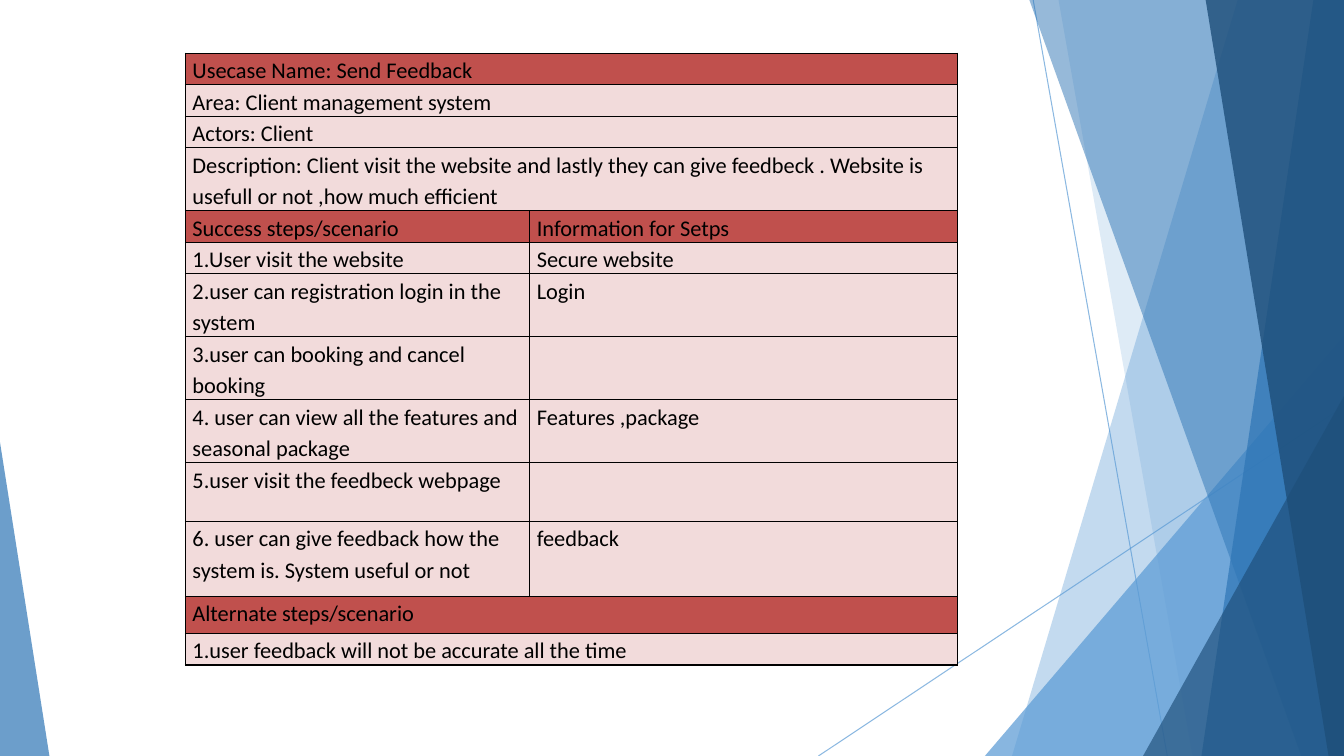
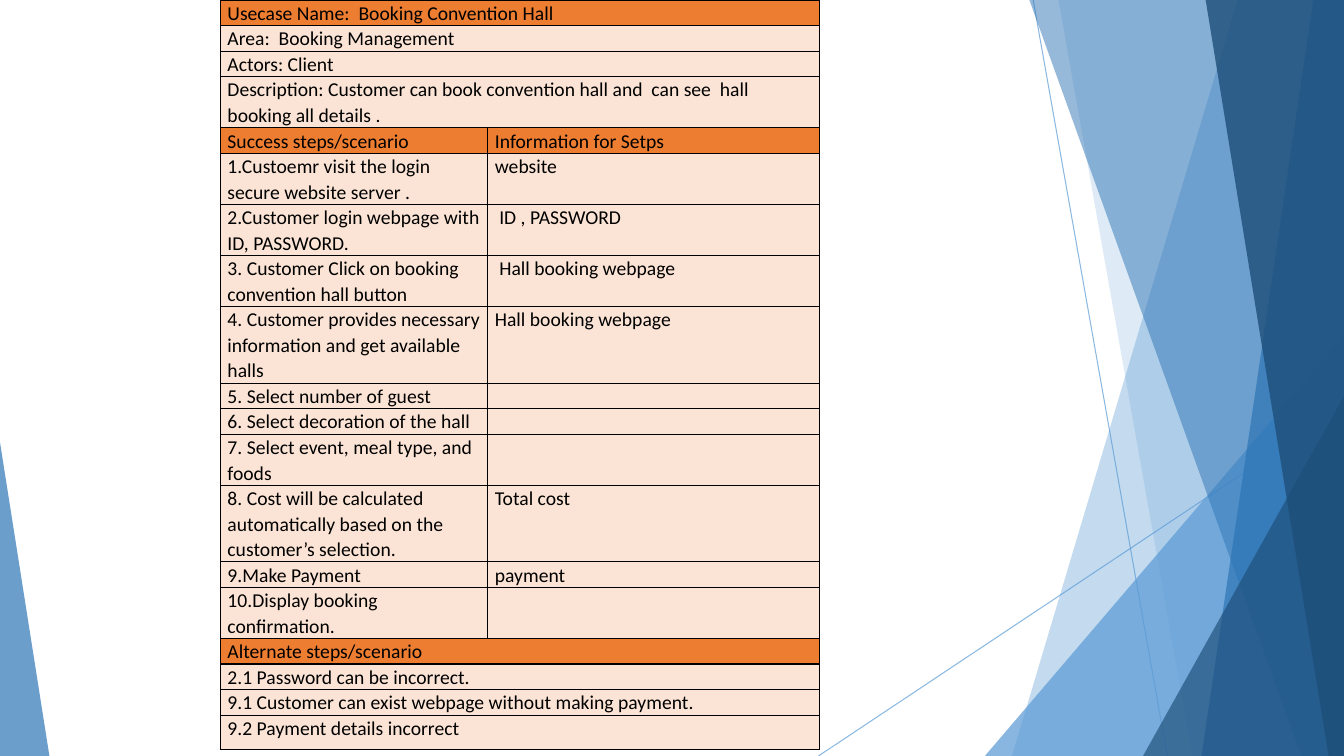
from lxml import etree
from pptx import Presentation
from pptx import util as u
from pptx.dml.color import RGBColor
from pptx.enum import shapes
from pptx.oxml.ns import qn

Pt = u.Pt
WIDTH, HEIGHT = 960, 540
FONT = "Calibri"
COLORS = {
    "light": "5B9BD5", "mid": "2E75B5", "dark": "1E4E79", "black": "000000",
    "red": "C0504D", "pale_red": "F2DBDB",
    "orange": "ED7D31", "pale_orange": "FBE4D5",
}
HEADINGS = ("Usecase Name", "Success steps", "Alternate steps")

# Each row: minimum height, then one text (full width) or two (split).
FEEDBACK_ROWS = [
    (21, "Usecase Name: Send Feedback"),
    (21, "Area: Client management system"),
    (21, "Actors: Client"),
    (42, "Description: Client visit the website and lastly they can give feedbeck . "
         "Website is usefull or not ,how much efficient"),
    (21, "Success steps/scenario", "Information for Setps"),
    (21, "1.User visit the website", "Secure website"),
    (42, "2.user can registration login in the system", "Login"),
    (42, "3.user can booking and cancel booking", ""),
    (42, "4. user can view all the features and seasonal package", "Features ,package"),
    (42, "5.user visit the feedbeck webpage", ""),
    (53.5, "6. user can give feedback how the system is. System useful or not", "feedback"),
    (26.5, "Alternate steps/scenario"),
    (21, "1.user feedback will not be accurate all the time"),
]
BOOKING_ROWS = [
    (18, "Usecase Name:  Booking Convention Hall"),
    (18, "Area:  Booking Management"),
    (18, "Actors: Client"),
    (36, "Description: Customer can book convention hall and  can see  hall "
         "booking all details ."),
    (18, "Success steps/scenario", "Information for Setps"),
    (36, "1.Custoemr visit the login  secure website server .", "website"),
    (36, "2.Customer login webpage with ID, PASSWORD.", " ID , PASSWORD"),
    (36, "3. Customer Click on booking convention hall button", " Hall booking webpage"),
    (54, "4. Customer provides necessary information and get available halls",
     "Hall booking webpage"),
    (18, "5. Select number of guest", ""),
    (18, "6. Select decoration of the hall", ""),
    (36, "7. Select event, meal type, and foods", ""),
    (54, "8. Cost will be calculated automatically based on the customer’s selection.",
     "Total cost"),
    (18, "9.Make Payment", "payment"),
    (36, "10.Display booking confirmation.", ""),
    (18, "Alternate steps/scenario"),
    (18, "2.1 Password can be incorrect."),
    (18, "9.1 Customer can exist webpage without making payment."),
    (24.5, "9.2 Payment details incorrect"),
]


def rgb(name):
    return RGBColor.from_string(COLORS[name])


def set_opacity(sp, percent):
    color = sp.element.spPr.find(".//" + qn("a:srgbClr"))
    etree.SubElement(color, qn("a:alpha"), val=str(percent * 1000))


def style_facet(sp, color, opacity):
    sp.shadow.inherit = False
    sp.fill.solid()
    sp.fill.fore_color.rgb = rgb(color)
    sp.line.fill.background()
    set_opacity(sp, opacity)


def add_panel(s, top_x, bottom_x, color, opacity):
    """Fill from a slanted left edge to the right side of the slide."""
    builder = s.shapes.build_freeform(Pt(top_x), Pt(-0.5))
    corners = [(WIDTH, -0.5), (WIDTH, HEIGHT), (bottom_x, HEIGHT)]
    builder.add_line_segments([(Pt(x), Pt(y)) for x, y in corners], close=True)
    style_facet(builder.convert_to_shape(), color, opacity)


def add_triangle(s, x, y, width, apex, color, opacity):
    """Stand a triangle on the bottom edge; apex is 0 (left) to 1 (right)."""
    sp = s.shapes.add_shape(shapes.MSO_SHAPE.ISOSCELES_TRIANGLE,
                            Pt(x), Pt(y), Pt(width), Pt(HEIGHT - y))
    sp.adjustments[0] = apex
    style_facet(sp, color, opacity)


def add_thin_line(s, *ends):
    line = s.shapes.add_connector(shapes.MSO_CONNECTOR.STRAIGHT, *map(Pt, ends))
    line.line.color.rgb = rgb("light")
    line.line.width = Pt(0.75)
    set_opacity(line, 70)
    etree.SubElement(line.element.spPr, qn("a:effectLst"))


def add_facets(s):
    add_thin_line(s, 738, 0, 833.8, HEIGHT)
    add_thin_line(s, WIDTH, 290.2, 584.6, HEIGHT)
    add_panel(s, 884.2, 722.9, "light", 36)
    add_panel(s, 756, 851.8, "light", 20)
    add_triangle(s, 703.5, 239.8, 256.5, 1, "light", 72)
    add_panel(s, 735.1, 929.5, "mid", 50)
    add_panel(s, 938.2, 858.2, "mid", 70)
    add_panel(s, 861.1, 949, "dark", 80)
    add_triangle(s, 816.5, 283, 143.5, 1, "dark", 66)
    add_triangle(s, 0, 316, 35.3, 0, "mid", 70)


def move_to_layout(s):
    """Make the shapes of a slide the background of its layout."""
    layout = s.slide_layout
    for placeholder in list(layout.placeholders):
        layout.shapes.element.remove(placeholder.element)
    for sp in list(s.shapes):
        layout.shapes.element.append(sp.element)


def add_borders(cell):
    properties = cell._tc.get_or_add_tcPr()
    for side in "LRTB":
        line = etree.SubElement(properties, qn("a:ln" + side), w=str(Pt(1)))
        fill = etree.SubElement(line, qn("a:solidFill"))
        etree.SubElement(fill, qn("a:srgbClr"), val=COLORS["black"])


def style_cell(cell, fill, size, spacing):
    cell.margin_left = cell.margin_right = Pt(5)
    cell.margin_top = cell.margin_bottom = 0
    add_borders(cell)
    cell.fill.solid()
    cell.fill.fore_color.rgb = rgb(fill)
    p = cell.text_frame.paragraphs[0]
    p.line_spacing = spacing
    p.font.size = Pt(size)
    p.font.name = FONT
    p.font.color.rgb = rgb("black")
    if not p.runs:  # an empty cell must not stretch its row
        etree.SubElement(p._p, qn("a:endParaRPr"), sz=str(size * 100))


def add_usecase_table(s, rows, x, y, widths, size, spacing, accent):
    heights = [row[0] for row in rows]
    frame = s.shapes.add_table(len(rows), len(widths), Pt(x), Pt(y),
                               Pt(sum(widths)), Pt(sum(heights)))
    table = frame.table
    table.first_row = table.horz_banding = False
    for column, width in zip(table.columns, widths):
        column.width = Pt(width)
    for i, (height, *texts) in enumerate(rows):
        table.rows[i].height = Pt(height)
        cells = [table.cell(i, j) for j in range(len(widths))]
        if len(texts) == 1:
            cells[0].merge(cells[-1])
        for cell, value in zip(cells, texts):
            cell.text = value
        fill = accent if texts[0].startswith(HEADINGS) else "pale_" + accent
        for cell in cells:
            style_cell(cell, fill, size, spacing)


def main():
    prs = Presentation()
    prs.slide_width, prs.slide_height = Pt(WIDTH), Pt(HEIGHT)
    blank = prs.slide_layouts[6]

    s = prs.slides.add_slide(blank)
    add_facets(s)
    move_to_layout(s)
    add_usecase_table(s, FEEDBACK_ROWS, 132.5, 38, (246, 305.5), 16, 1.15, "red")

    s = prs.slides.add_slide(blank)
    add_usecase_table(s, BOOKING_ROWS, 157.5, 0, (191, 237), 14, 1.07, "orange")

    prs.save("out.pptx")


if __name__ == "__main__":
    main()
